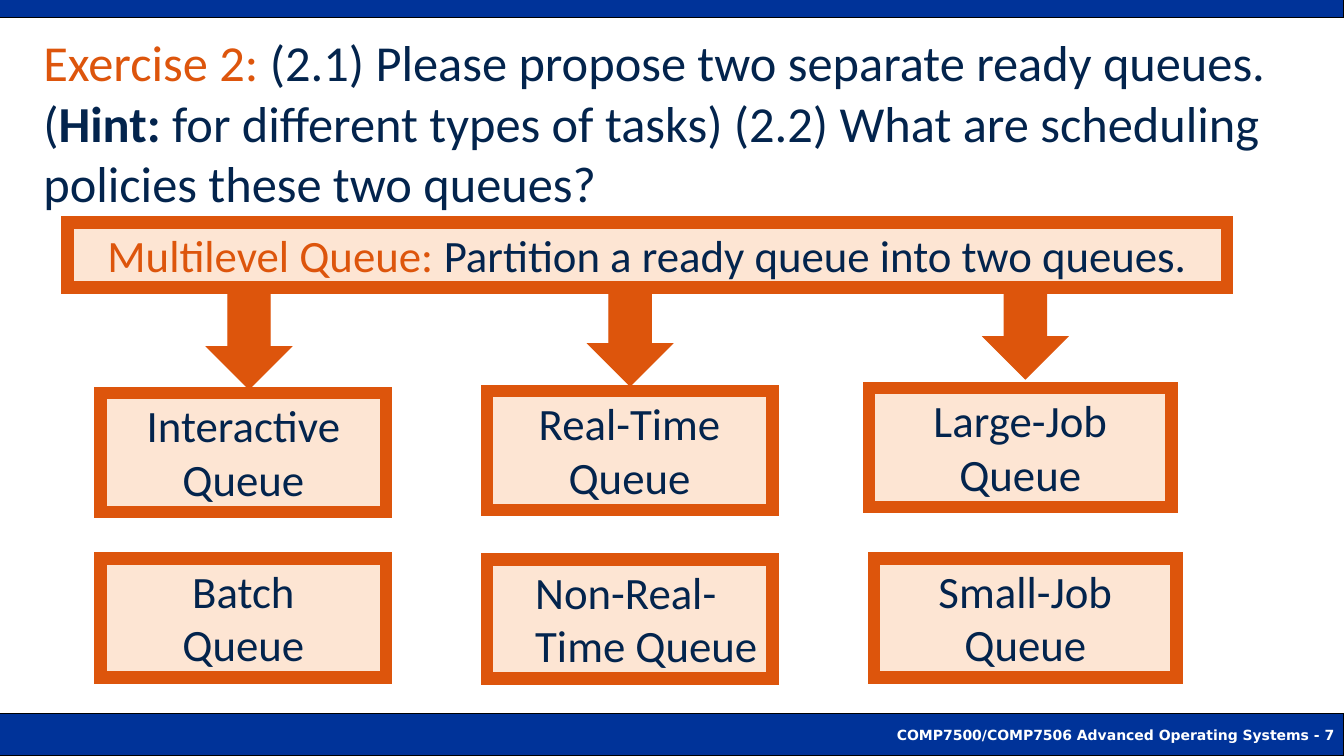
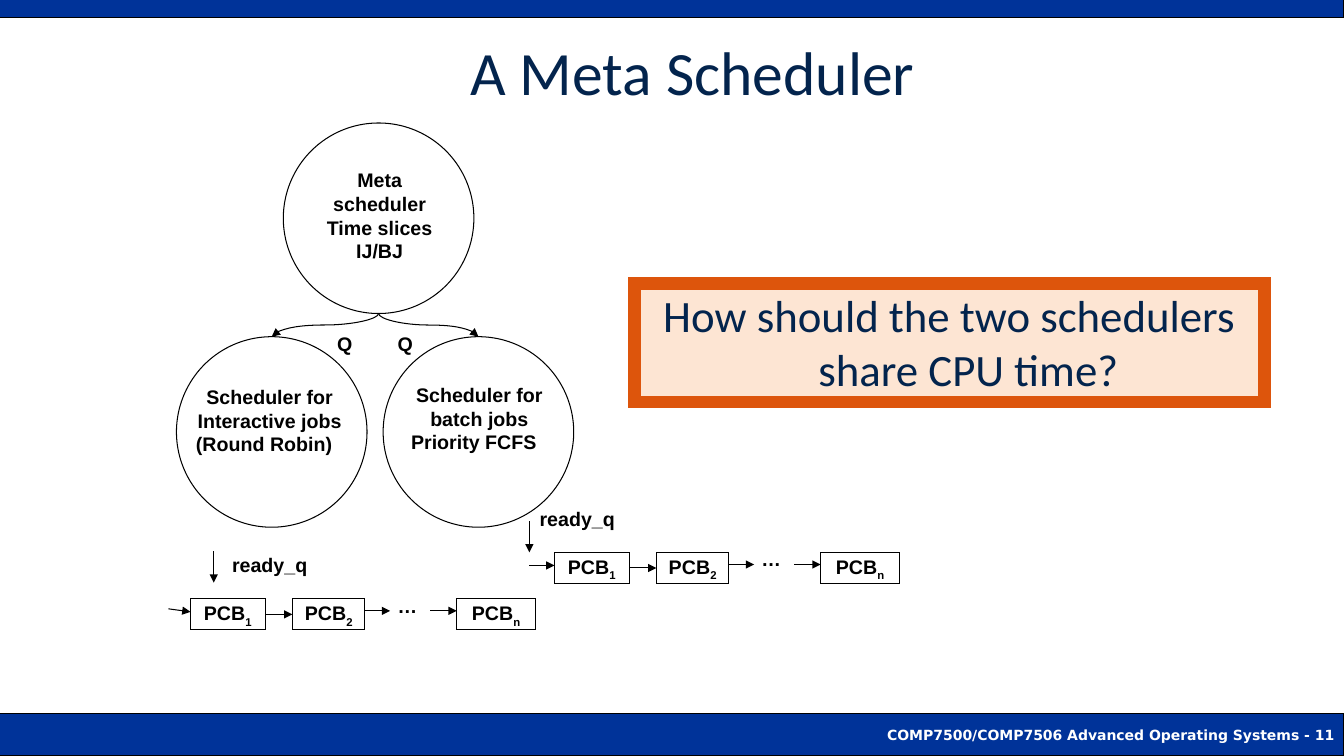
from pptx import Presentation
from pptx.dml.color import RGBColor
from pptx.enum.shapes import MSO_CONNECTOR, MSO_SHAPE
from pptx.enum.text import MSO_ANCHOR, MSO_AUTO_SIZE, PP_ALIGN
from pptx.oxml.ns import qn
from pptx.util import Inches, Pt
from lxml import etree

RECT, OVAL, DOWN = MSO_SHAPE.RECTANGLE, MSO_SHAPE.OVAL, MSO_SHAPE.DOWN_ARROW
STRAIGHT, CURVE = MSO_CONNECTOR.STRAIGHT, MSO_CONNECTOR.CURVE
LEFT, CENTER, RIGHT = PP_ALIGN.LEFT, PP_ALIGN.CENTER, PP_ALIGN.RIGHT
TOP, MIDDLE = MSO_ANCHOR.TOP, MSO_ANCHOR.MIDDLE

W, H = 13.33, 7.5
COLORS = {"band": "003399", "navy": "03244D", "orange": "DD550C",
          "peach": "F68026", "black": "000000", "white": "FFFFFF"}
TITLE = {"name": "Calibri", "size": 36, "color": "navy"}
BOX = {"name": "Calibri", "size": 32, "color": "navy"}
LABEL = {"name": "Arial", "size": 14, "bold": True, "color": "black"}
FOOTER = {"name": "DejaVu Sans", "size": 10, "bold": True, "color": "white"}
WIDE_INSETS = (0.1, 0.05)
SLIM_INSETS = (0.05, 0.02)
HANG = 0.38


def rgb(name):
    return RGBColor.from_string(COLORS[name])


# Text
def format_run(r, style):
    for key, value in style.items():
        if key == "color":
            r.font.color.rgb = rgb(value)
        elif key == "baseline":
            r._r.get_or_add_rPr().set("baseline", str(value))
        else:
            setattr(r.font, key, Pt(value) if key == "size" else value)


def write(sp, paragraphs, style, align=CENTER, anchor=TOP, insets=WIDE_INSETS):
    """Each paragraph is a string or a list of (text, style changes)."""
    tf = sp.text_frame
    side, end = (Inches(v) for v in insets)
    frame = {"word_wrap": True, "auto_size": MSO_AUTO_SIZE.NONE,
             "vertical_anchor": anchor, "margin_left": side,
             "margin_right": side, "margin_top": end, "margin_bottom": end}
    for key, value in frame.items():
        setattr(tf, key, value)
    for i, runs in enumerate(paragraphs):
        p = tf.add_paragraph() if i else tf.paragraphs[0]
        p.alignment = align
        for text, changes in [(runs, {})] if isinstance(runs, str) else runs:
            r = p.add_run()
            r.text = text
            format_run(r, {**style, **changes})
    return tf


def indent(p, **margins):
    for key, value in margins.items():
        p._p.get_or_add_pPr().set(key, str(Inches(value)))


# Shapes
def add_shape(s, kind, box, fill=None, line="black", width=0.75, alpha=None):
    sp = s.shapes.add_shape(kind, *(Inches(v) for v in box))
    sp.shadow.inherit = False
    if fill:
        sp.fill.solid()
        sp.fill.fore_color.rgb = rgb(fill)
    else:
        sp.fill.background()
    if alpha:
        color = sp._element.spPr.find(qn("a:solidFill"))[0]
        etree.SubElement(color, qn("a:alpha"), val=str(alpha * 1000))
    sp.line.color.rgb = rgb(line)
    sp.line.width = Pt(width)
    etree.SubElement(sp.line._get_or_add_ln(), qn("a:miter"), lim="800000")
    return sp


def framed_box(s, box, paragraphs, align=CENTER):
    sp = add_shape(s, RECT, box, "peach", "orange", 9, alpha=20)
    return write(sp, paragraphs, BOX, align)


def label(s, box, paragraphs):
    sp = s.shapes.add_textbox(*(Inches(v) for v in box))
    return write(sp, paragraphs, LABEL, insets=SLIM_INSETS)


def arrow(s, start, end, kind=STRAIGHT):
    c = s.shapes.add_connector(kind, *(Inches(v) for v in (*start, *end)))
    c.line.color.rgb = rgb("black")
    c.line.width = Pt(0.75)
    etree.SubElement(c.line._get_or_add_ln(), qn("a:tailEnd"), type="triangle")
    etree.SubElement(c._element.spPr, qn("a:effectLst"))
    return c


def falling_curve(s, start, end):
    """Curved arrow that leaves and arrives vertically."""
    (x0, y0), (x1, y1) = start, end
    side = 1 if x1 > x0 else -1
    cx, cy = (x0 + x1) / 2, (y0 + y1) / 2
    dx, dy = abs(x1 - x0) / 2, (y1 - y0) / 2
    c = arrow(s, (cx + side * dy, cy - dx), (cx - side * dy, cy + dx), CURVE)
    turn = 90 if side < 0 else 270
    c._element.spPr.find(qn("a:xfrm")).set("rot", str(turn * 60000))


# Title and bands shared by the slides
def new_slide(prs, number, box, title, align=LEFT, size=36):
    s = prs.slides.add_slide(prs.slide_layouts[5])
    sp = s.shapes.title
    for key, value in zip(("left", "top", "width", "height"), box):
        setattr(sp, key, Inches(value))
    write(sp, [title], {**TITLE, "size": size}, align, MIDDLE)
    add_shape(s, RECT, (0, 0, W, 0.17), "band")
    footer = add_shape(s, RECT, (0, H - 0.42, W, 0.42), "band")
    write(footer, [f"COMP7500/COMP7506 Advanced Operating Systems - {number}"],
          FOOTER, RIGHT, MIDDLE)
    return s


# Slide 1: pairs of queues under a heading
def queue_pair(s, box, arrow_at, lower_at, upper, lower):
    size = box[2:]
    framed_box(s, box, upper)
    add_shape(s, DOWN, (*arrow_at, 0.84, 0.94), "orange", "orange")
    if len(lower) > 1:
        framed_box(s, (*lower_at, *size), lower)
    else:
        tf = framed_box(s, (*lower_at, *size), lower, LEFT)
        indent(tf.paragraphs[0], marL=HANG)


def exercise_slide(prs):
    s = new_slide(prs, 7, (0.33, 0.29, 12.67, 1.84), [
        ("Exercise 2: ", {"color": "orange"}),
        ("(2.1) Please propose two separate ready queues. (", {}),
        ("Hint:", {"bold": True}),
        (" for different types of tasks) (2.2) What are scheduling "
         "policies these two queues?", {})])
    framed_box(s, (0.67, 2.21, 11.5, 0.64), [[
        ("Multilevel Queue:", {"color": "orange"}),
        (" Partition a ready queue into two queues.", {})]])
    pairs = [
        ((1, 3.9, 2.83, 1.18), (2.05, 2.92), (1, 5.54),
         ["Interactive", "Queue"], ["Batch", "Queue"]),
        ((4.83, 3.88, 2.83, 1.18), (5.83, 2.89), (4.83, 5.55),
         ["Real-Time", "Queue"], ["Non-Real-Time Queue"]),
        ((8.62, 3.85, 3, 1.18), (9.75, 2.82), (8.67, 5.54),
         ["Large-Job", "Queue"], ["Small-Job", "Queue"])]
    for pair in pairs:
        queue_pair(s, *pair)


# Slide 2: scheduler circles and their ready queues
def scheduler_tree(s, x, y):
    d = 1.89
    circles = [(1.06, 0), (0, 2.12), (2.05, 2.12)]
    for cx, cy in circles:
        add_shape(s, OVAL, (x + cx, y + cy, d, d))
    root = (x + circles[0][0] + d / 2, y + d)
    for cx, cy in circles[1:]:
        falling_curve(s, root, (x + cx + d / 2, y + cy))
    labels = [
        ((1.37, 0.43, 1.29, 1.02), ["Meta scheduler", "Time slices", "IJ/BJ"]),
        ((0.1, 2.58, 1.65, 0.92),
         ["Scheduler for Interactive jobs", "(Round Robin)"]),
        ((2.27, 2.56, 1.47, 0.89),
         ["Scheduler for batch jobs", "Priority FCFS"]),
        ((1.52, 2.05, 0.3, 0.3), ["Q"]),
        ((2.12, 2.05, 0.3, 0.3), ["Q"])]
    for (lx, ly, w, h), text in labels:
        tf = label(s, (x + lx, y + ly, w, h), text)
        if len(text) == 2:
            indent(tf.paragraphs[1], marR=0.11)


def ready_queue(s, x, y, entry, drop, name_at):
    """Entry and drop are the starts of the arrows into the queue."""
    blocks = []
    for dx, w, sub in ((0, 0.74, "1"), (1.01, 0.72, "2"), (2.64, 0.78, "n")):
        sp = add_shape(s, RECT, (x + dx, y, w, 0.31))
        write(sp, [[("PCB", {}), (sub, {"baseline": -30000})]], LABEL,
              insets=SLIM_INSETS)
        blocks.append(sp)
    link = arrow(s, (x + 0.74, y + 0.15), (x + 1.01, y + 0.15))
    link.begin_connect(blocks[0], 3)
    link.end_connect(blocks[1], 1)
    for x0, x1 in ((1.73, 1.98), (2.38, 2.64)):
        arrow(s, (x + x0, y + 0.12), (x + x1, y + 0.12))
    arrow(s, (x + entry[0], y + entry[1]), (x, y + 0.13))
    dx, dy = drop
    arrow(s, (x + dx, y + dy), (x + dx, y + dy + 0.31))
    label(s, (x + 1.98, y - 0.07, 0.34, 0.3), ["…"])
    label(s, (x + name_at, y - 0.47, 1.01, 0.3), ["ready_q"])


def scheduler_slide(prs):
    s = new_slide(prs, 11, (3.08, 0.24, 7.58, 0.92), "A Meta Scheduler",
                  CENTER, 44)
    scheduler_tree(s, 1.75, 1.22)
    ready_queue(s, 1.89, 5.94, (-0.22, 0.1), (0.23, -0.47), 0.28)
    ready_queue(s, 5.5, 5.48, (-0.25, 0.13), (-0.25, -0.31), -0.28)
    tf = framed_box(s, (6.29, 2.81, 6.25, 1.18),
                    ["How should the two schedulers share CPU time?"])
    indent(tf.paragraphs[0], marL=HANG, indent=-HANG)


def main():
    prs = Presentation()
    prs.slide_width, prs.slide_height = Inches(W), Inches(H)
    exercise_slide(prs)
    scheduler_slide(prs)
    prs.save("out.pptx")


if __name__ == "__main__":
    main()
